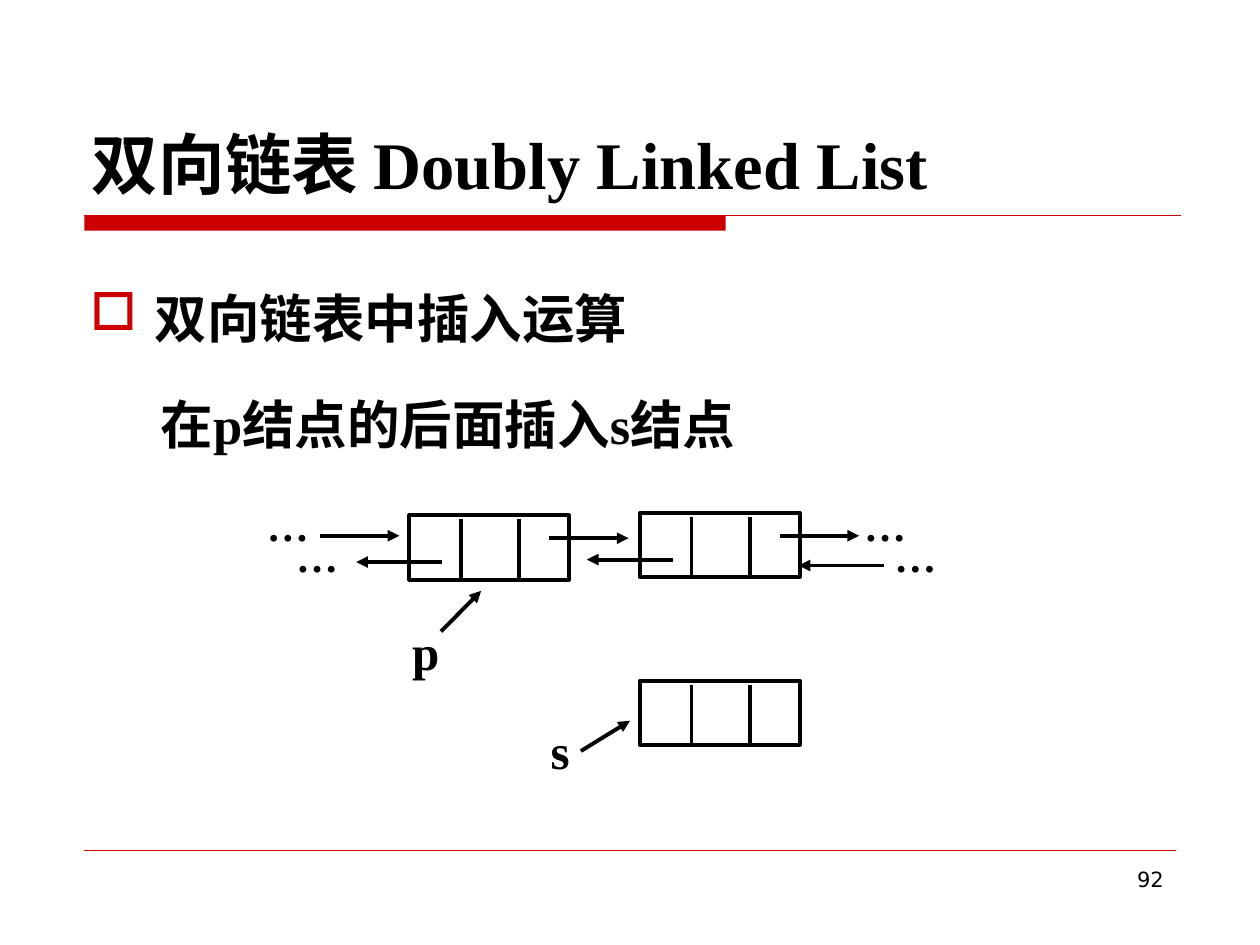
from dataclasses import dataclass

from lxml.etree import SubElement
from pptx import Presentation
from pptx.dml.color import RGBColor
from pptx.enum.shapes import MSO_CONNECTOR, MSO_SHAPE
from pptx.enum.text import MSO_ANCHOR, MSO_AUTO_SIZE, PP_ALIGN
from pptx.oxml.ns import qn
from pptx.util import Cm, Pt


@dataclass(frozen=True)
class Theme:
    ink: RGBColor = RGBColor(0, 0, 0)
    paper: RGBColor = RGBColor(255, 255, 255)
    red: RGBColor = RGBColor(0xCC, 0, 0)
    serif: str = "Times New Roman"
    sans: str = "DejaVu Sans"
    title: int = 38
    body: int = 30
    label: int = 28
    dots: int = 24
    page: int = 12
    stroke: float = 2.25


THEME = Theme()
NODE_W, NODE_H = 3.22, 1.3


def style(para, size, face=THEME.serif, bold=True):
    font = para.font
    font.name, font.size, font.bold = face, Pt(size), bold
    font.color.rgb = THEME.ink


def add_text(slide, text, box, size, inset=0.0, **look):
    frame = slide.shapes.add_textbox(*map(Cm, box)).text_frame
    frame.word_wrap = True
    frame.margin_left = frame.margin_right = Cm(inset)
    frame.margin_top = frame.margin_bottom = Cm(inset / 2)
    for num, line in enumerate(text.split("\n")):
        para = frame.add_paragraph() if num else frame.paragraphs[0]
        para.text = line
        style(para, size, **look)
    return frame


def add_rect(slide, box, fill, line=None):
    rect = slide.shapes.add_shape(MSO_SHAPE.RECTANGLE, *map(Cm, box))
    rect.shadow.inherit = False
    rect.fill.solid()
    rect.fill.fore_color.rgb = fill
    if line is None:
        rect.line.fill.background()
    else:
        rect.line.color.rgb = line
        rect.line.width = Pt(THEME.stroke)


def add_line(slide, ends, color=THEME.ink, width=THEME.stroke, arrow=False):
    line = slide.shapes.add_connector(MSO_CONNECTOR.STRAIGHT, *map(Cm, ends))
    line.line.color.rgb = color
    line.line.width = Pt(width)
    if arrow:
        SubElement(line.line._get_or_add_ln(), qn("a:tailEnd"), type="triangle")
    SubElement(line._element.spPr, qn("a:effectLst"))


def add_node(slide, left, top, linked=True):
    """Draw a three-cell node, with its next and prior arrows if linked."""
    add_rect(slide, (left, top, NODE_W, NODE_H), THEME.paper, THEME.ink)
    for step in (1.04, 2.21):
        add_line(slide, (left + step, top + 0.08, left + step, top + 1.33))
    if linked:
        for start, end, drop in ((2.82, 4.42, 0.46), (0.66, -1.07, 0.94)):
            add_line(slide, (left + start, top + drop, left + end, top + drop),
                     arrow=True)


def add_title(slide):
    title = slide.shapes.title
    title.left, title.top, title.width, title.height = map(
        Cm, (1.6, 0.84, 22.22, 3.38))
    frame = title.text_frame
    frame.text = "双向链表 Doubly Linked List"
    frame.auto_size = MSO_AUTO_SIZE.NONE
    frame.vertical_anchor = MSO_ANCHOR.BOTTOM
    para = frame.paragraphs[0]
    para.alignment = PP_ALIGN.LEFT
    style(para, THEME.title)


def add_body(slide):
    frame = add_text(slide, "双向链表中插入运算\n在p结点的后面插入s结点",
                     (1.57, 5.46, 22.22, 12.27), THEME.body, 0.25)
    head, note = frame.paragraphs
    for para, left, hang in ((head, 1.3, -1.3), (note, 1.42, 0)):
        para.line_spacing = 1.15
        para.space_after = Pt(7.5)
        props = para._p.get_or_add_pPr()
        props.set("marL", str(Cm(left)))
        props.set("indent", str(Cm(hang)))
    note.space_before = Pt(11.2)

    # Red square bullet, placed before the default run properties
    props = head._p.get_or_add_pPr()
    color = SubElement(props, qn("a:buClr"))
    SubElement(color, qn("a:srgbClr"), val=str(THEME.red))
    SubElement(props, qn("a:buChar"), char="□")
    props.append(props.find(qn("a:defRPr")))


def add_list(slide):
    # Nodes: next, p and s
    add_node(slide, 12.9, 10.34)
    add_node(slide, 8.25, 10.39)
    add_node(slide, 12.9, 13.72, linked=False)

    # Arrows into the chain, then the two pointers
    for ends in ((6.45, 10.8, 8.05, 10.8), (17.83, 11.4, 16.1, 11.4),
                 (8.89, 12.73, 9.7, 11.91), (11.71, 15.14, 12.7, 14.53)):
        add_line(slide, ends, arrow=True)

    # Dots at both ends and pointer names
    for left, top in ((5.38, 10.08), (5.97, 10.69), (17.42, 10.08), (18.03, 10.69)):
        add_text(slide, "…", (left, top, 1.27, 1.3), THEME.dots)
    add_text(slide, "p", (8.31, 12.52, 1.2, 1.6), THEME.label)
    add_text(slide, "s", (11.1, 14.53, 1.6, 1.2), THEME.label)


def main():
    deck = Presentation()
    deck.slide_width, deck.slide_height = Cm(25.4), Cm(19.05)
    slide = deck.slides.add_slide(deck.slide_layouts[5])

    # Rules under the title and above the footer
    add_rect(slide, (1.7, 4.34, 12.93, 0.31), THEME.red)
    add_line(slide, (1.7, 4.34, 23.8, 4.34), THEME.red, 0.75)
    add_line(slide, (1.7, 17.15, 23.7, 17.15), THEME.red, 0.25)

    # Page number
    page = add_text(slide, "92", (18.21, 17.35, 5.5, 1.32), THEME.page, 0.25,
                    face=THEME.sans, bold=False)
    page.paragraphs[0].alignment = PP_ALIGN.RIGHT

    add_title(slide)
    add_body(slide)
    add_list(slide)
    deck.save("out.pptx")


if __name__ == "__main__":
    main()
